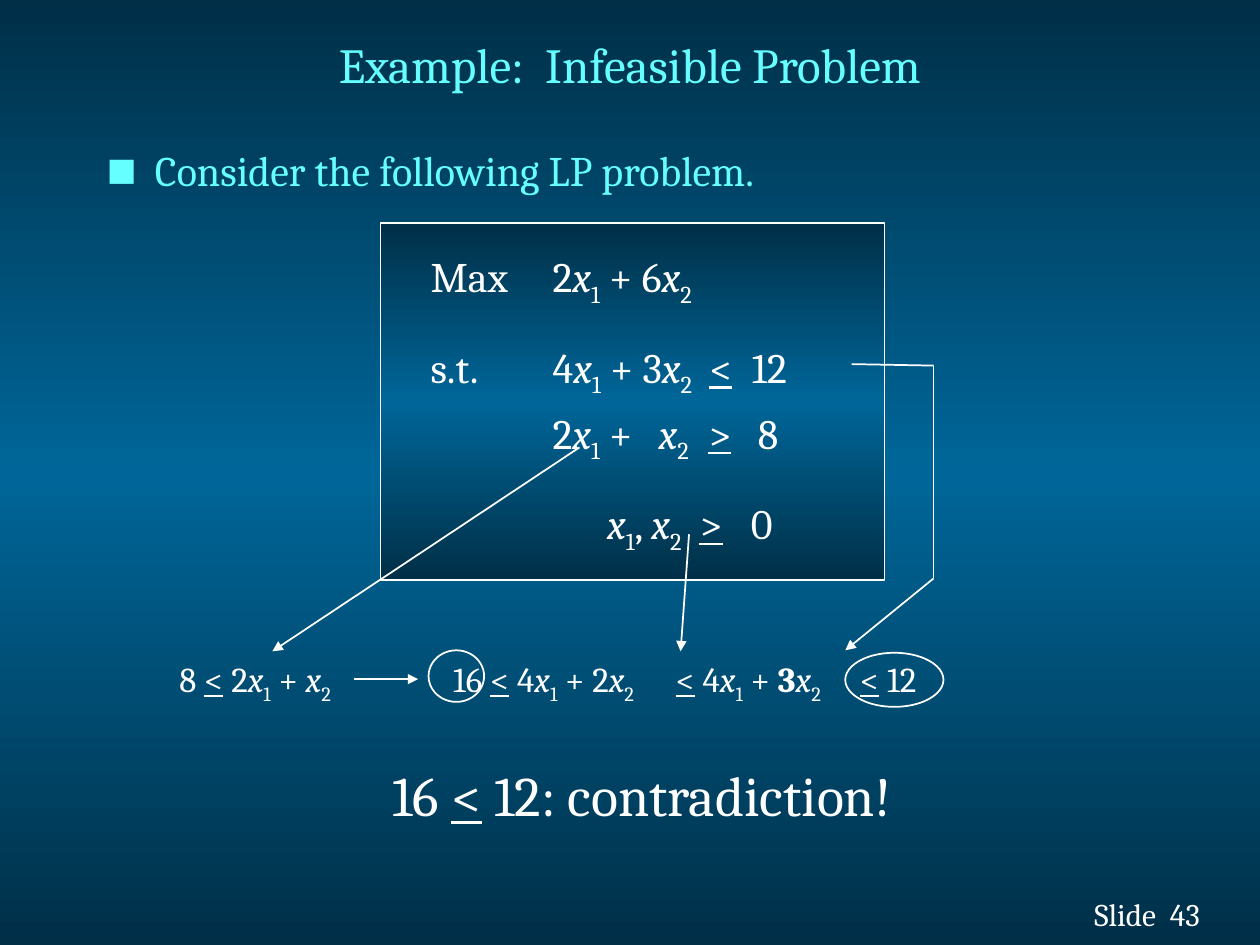
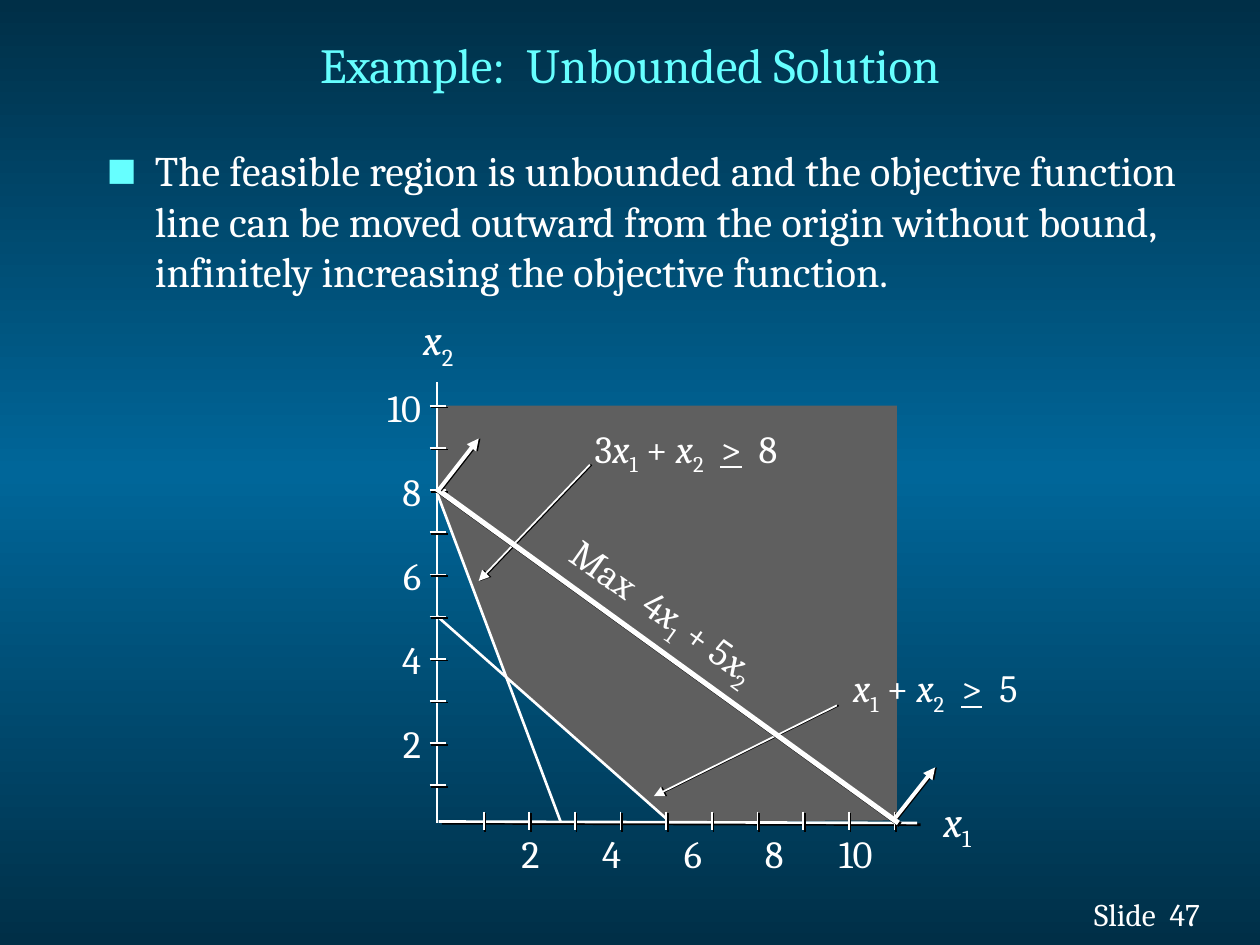
from dataclasses import dataclass
from itertools import groupby, pairwise
from typing import NamedTuple, Optional

from lxml.etree import SubElement
from pptx import Presentation
from pptx.dml.color import RGBColor
from pptx.enum.shapes import MSO_CONNECTOR, MSO_SHAPE
from pptx.enum.text import MSO_ANCHOR, MSO_AUTO_SIZE, PP_ALIGN
from pptx.oxml import parse_xml
from pptx.oxml.ns import nsdecls, qn
from pptx.util import Cm, Pt

WHITE = RGBColor(0xFF, 0xFF, 0xFF)
BLACK = RGBColor(0x00, 0x00, 0x00)
CYAN = RGBColor(0x66, 0xFF, 0xFF)
GREY = RGBColor(0x5F, 0x5F, 0x5F)
DEEP = RGBColor(0x00, 0x2F, 0x47)
BLUE = RGBColor(0x00, 0x66, 0x99)
FONT = "Cambria"
MARKS = {"*": "italic", "_": "sub", "~": "underline", "^": "bold"}
X1, X2 = "*x*_1_", "*x*_2_"


class Box(NamedTuple):
    left: float
    top: float
    width: float
    height: float

    def cm(self):
        return [Cm(v) for v in self]


class Shadow(NamedTuple):
    distance: float
    angle: float


@dataclass(frozen=True)
class Line:
    x1: float
    y1: float
    x2: float
    y2: float
    weight: float = 1
    arrow: bool = False
    shadow: Optional[Shadow] = None


@dataclass(frozen=True)
class Label:
    text: str
    box: Box
    size: float = 22
    align: PP_ALIGN = PP_ALIGN.LEFT
    inset: tuple = (0.25, 0.13)
    wrap: bool = False
    angle: float = 0
    shadow: Optional[Shadow] = None
    tabs: tuple = ()


FLAT = Shadow(1, 0)
DIAGONAL = Shadow(1.4, 45)
WIDE = (0.33, 0.18)


def effects(shadow: Optional[Shadow]):
    lst = parse_xml(f"<a:effectLst {nsdecls('a')}/>")
    if shadow:
        outer = SubElement(lst, qn("a:outerShdw"), dist=str(Pt(shadow.distance)),
                           dir=str(int(shadow.angle * 60000)), algn="ctr", rotWithShape="0")
        SubElement(outer, qn("a:srgbClr"), val=str(BLACK))
    return lst


def write_text(p, text: str, *, size: float, color: RGBColor = WHITE,
               align: PP_ALIGN = PP_ALIGN.LEFT, before: float = 0,
               tabs: tuple = (), tab_align: str = "l",
               shadow: Optional[Shadow] = None) -> None:
    p.alignment = align
    p.space_before = Pt(before)
    if tabs:
        tab_list = SubElement(p._p.get_or_add_pPr(), qn("a:tabLst"))
        for stop in tabs:
            SubElement(tab_list, qn("a:tab"), pos=str(Cm(stop)), algn=tab_align)
    active, letters = set(), []
    for ch in text:
        if ch in MARKS:
            active ^= {MARKS[ch]}
        else:
            letters.append((ch, frozenset(active)))
    for style, group in groupby(letters, key=lambda item: item[1]):
        r = p.add_run()
        r.text = "".join(ch for ch, _ in group)
        f = r.font
        f.size, f.name = Pt(size), FONT
        f.color.rgb = color
        for name in style - {"sub"}:
            setattr(f, name, True)
        r_pr = r._r.get_or_add_rPr()
        if "sub" in style:
            r_pr.set("baseline", "-25000")
        if shadow:
            r_pr.find(qn("a:solidFill")).addnext(effects(shadow))


def add_label(slide, label: Label):
    sp = slide.shapes.add_textbox(*label.box.cm())
    sp.rotation = label.angle
    tf = sp.text_frame
    tf.word_wrap = label.wrap
    tf.auto_size = MSO_AUTO_SIZE.SHAPE_TO_FIT_TEXT
    tf.margin_left = tf.margin_right = Cm(label.inset[0])
    tf.margin_top = tf.margin_bottom = Cm(label.inset[1])
    write_text(tf.paragraphs[0], label.text, size=label.size, align=label.align,
               shadow=label.shadow, tabs=label.tabs, tab_align="ctr")
    return sp


def add_line(slide, line: Line):
    cx = slide.shapes.add_connector(MSO_CONNECTOR.STRAIGHT, Cm(line.x1), Cm(line.y1),
                                    Cm(line.x2), Cm(line.y2))
    cx.line.color.rgb = WHITE
    cx.line.width = Pt(line.weight)
    if line.arrow:
        SubElement(cx.line._get_or_add_ln(), qn("a:tailEnd"), type="triangle")
    cx._element.spPr.append(effects(line.shadow))
    return cx


def paint_gradient(fill, element) -> None:
    fill.gradient()
    fill.gradient_angle = 90
    stops = next(element.iter(qn("a:gsLst")))
    for stop in list(stops):
        stops.remove(stop)
    for pos, color in ((0, DEEP), (50, BLUE), (100, DEEP)):
        gs = SubElement(stops, qn("a:gs"), pos=str(pos * 1000))
        SubElement(gs, qn("a:srgbClr"), val=str(color))


def add_outline(slide, kind: MSO_SHAPE, box: Box):
    sp = slide.shapes.add_shape(kind, *box.cm())
    sp.shadow.inherit = False
    sp.fill.background()
    sp.line.color.rgb = WHITE
    sp.line.width = Pt(1)
    return sp


def fill_placeholder(sp, box: Box, anchor: MSO_ANCHOR, text: str, **style):
    sp.left, sp.top, sp.width, sp.height = box.cm()
    tf = sp.text_frame
    tf.auto_size = MSO_AUTO_SIZE.NONE
    tf.vertical_anchor = anchor
    write_text(tf.paragraphs[0], text, **style)
    return tf.paragraphs[0]


def add_slide(prs, title: str, bullet: str, body: Box, color: RGBColor, number: int):
    slide = prs.slides.add_slide(prs.slide_layouts[1])
    fill_placeholder(slide.shapes.title, Box(1.9, 0.15, 21.59, 2.26), MSO_ANCHOR.MIDDLE,
                     title, size=28, color=CYAN, align=PP_ALIGN.CENTER)
    p = fill_placeholder(slide.placeholders[1], body, MSO_ANCHOR.TOP,
                         bullet, size=24, color=color, before=4.8)
    p_pr = p._p.get_or_add_pPr()
    p_pr.set("marL", str(Cm(0.97)))
    p_pr.set("indent", str(Cm(-0.97)))
    bullet_color = SubElement(p_pr, qn("a:buClr"))
    SubElement(bullet_color, qn("a:srgbClr"), val=str(CYAN))
    SubElement(p_pr, qn("a:buSzPct"), val="75000")
    SubElement(p_pr, qn("a:buFont"), typeface=FONT)
    SubElement(p_pr, qn("a:buChar"), char="■")
    add_label(slide, Label(f"Slide  {number}", Box(21.34, 17.91, 3.1, 1.02), 18,
                           PP_ALIGN.RIGHT, wrap=True, shadow=DIAGONAL))
    return slide


def build_infeasible(prs) -> None:
    slide = add_slide(prs, "Example:  Infeasible Problem",
                      "Consider the following LP problem.",
                      Box(1.9, 2.79, 17.45, 1.45), CYAN, 43)
    panel = add_outline(slide, MSO_SHAPE.RECTANGLE, Box(7.67, 4.5, 10.16, 7.19))
    paint_gradient(panel.fill, panel._element)

    model = (
        (f"Max\t2{X1} + 6{X2}", 4.8, (2.46,)),
        (f"s.t.\t4{X1} + 3{X2}\t~<~\t12", 19, (2.46, 5.62, 6.48)),
        (f"\t2{X1} +\t{X2}\t~>~\t8", 4.8, (2.46, 4.6, 5.6, 6.6)),
        (f"\t{X1}, {X2}\t~>~\t0", 19, (3.56, 5.42, 6.46)),
    )
    tf = slide.shapes.add_textbox(*Box(8.43, 4.93, 9.02, 6.32).cm()).text_frame
    tf.word_wrap = True
    for i, (text, before, tabs) in enumerate(model):
        p = tf.add_paragraph() if i else tf.paragraphs[0]
        write_text(p, text, size=24, before=before, tabs=tabs)

    chain = (
        (f"8 ~<~ 2{X1} + {X2}", 3.15, 3.99),
        (f"16 ~<~ 4{X1} + 2{X2}", 8.61, 4.7),
        (f"~<~ 4{X1} + ^3^{X2}", 13.18, 3.81),
        ("~<~ 12", 16.99, 1.83),
    )
    terms = [add_label(slide, Label(text, Box(left, 13.13, width, 1.12), 20, PP_ALIGN.CENTER))
             for text, left, width in chain]
    add_label(slide, Label("16 ~<~ 12: contradiction!", Box(7.11, 15.21, 11.66, 1.63),
                           32, PP_ALIGN.CENTER))

    implies = add_line(slide, Line(7.14, 13.69, 8.43, 13.69, arrow=True))
    implies.begin_connect(terms[0], 3)
    add_line(slide, Line(11.68, 9.02, 5.49, 13.13, arrow=True))
    add_line(slide, Line(13.89, 10.77, 13.72, 13.13, arrow=True))
    bracket = ((17.17, 7.34), (18.82, 7.37), (18.82, 11.66), (17.04, 13.11))
    for start, end in pairwise(bracket):
        add_line(slide, Line(*start, *end, arrow=end == bracket[-1]))
    for box in (Box(8.64, 13.11, 1.12, 1.04), Box(17.04, 13.16, 1.98, 1.09)):
        add_outline(slide, MSO_SHAPE.OVAL, box)


def build_unbounded(prs) -> None:
    slide = add_slide(prs, "Example:  Unbounded Solution",
                      "The feasible region is unbounded and the objective function line can be "
                      "moved outward from the origin without bound, infinitely increasing the "
                      "objective function.",
                      Box(1.9, 2.79, 22.28, 6.22), WHITE, 47)
    region = ((8.81, 8.18), (18.08, 8.18), (18.08, 16.54),
              (13.46, 16.56), (10.21, 13.64), (8.81, 9.98))
    start, *others = [(Cm(x), Cm(y)) for x, y in region]
    outline = slide.shapes.build_freeform(*start, scale=1.0)
    outline.add_line_segments(others, close=True)
    sp = outline.convert_to_shape()
    sp.shadow.inherit = False
    sp.fill.solid()
    sp.fill.fore_color.rgb = GREY
    sp.line.fill.background()

    labels = [
        Label(X2, Box(8.2, 6.15, 1.4, 1.35), 24, inset=WIDE),
        Label(X1, Box(18.69, 15.85, 1.4, 1.35), 24, inset=WIDE),
        Label(f"3{X1} + {X2}  ~>~  8", Box(11.66, 8.38, 4.88, 1.27), inset=WIDE),
        Label(f"{X1} + {X2}  ~>~  5", Box(16.87, 13.21, 4.47, 1.27), inset=WIDE),
        Label(f"Max  4{X1} + 5{X2}", Box(10.85, 11.81, 5.54, 1.27), inset=WIDE, angle=35.3),
        Label("2\t4\t6\t8\t10", Box(10.26, 16.61, 8.43, 1.17), wrap=True,
              tabs=tuple(round(0.18 + 1.64 * k, 2) for k in range(1, 5))),
    ]
    labels += [Label(str(value), Box(7.47, 7.62 + 1.69 * k, 1.27, 1.17), align=PP_ALIGN.RIGHT)
               for k, value in enumerate(range(10, 0, -2))]
    for label in labels:
        add_label(slide, label)

    lines = [
        Line(11.89, 9.37, 9.65, 11.71, arrow=True, shadow=FLAT),
        Line(16.87, 14.22, 13.18, 16.05, arrow=True, shadow=FLAT),
        Line(8.81, 7.7, 8.81, 16.59, 1.5),
        Line(8.84, 16.56, 18.49, 16.59, 1.5, shadow=Shadow(2.2, 27)),
        Line(8.81, 12.42, 13.44, 16.51, 1.5),
        Line(8.79, 9.88, 11.3, 16.56, 1.5),
    ]
    for k in range(10):
        y, x = 8.18 + 0.85 * k, 9.75 + 0.92 * k
        lines += [Line(8.66, y, 8.99, y, shadow=DIAGONAL),
                  Line(x, 16.36, x, 16.74, shadow=DIAGONAL)]
    lines += [
        Line(18.03, 16.51, 18.85, 15.47, 2.25, True, FLAT),
        Line(8.81, 9.86, 18.11, 16.59, 3, shadow=DIAGONAL),
        Line(8.84, 9.88, 9.65, 8.84, 2.25, True, FLAT),
    ]
    for line in lines:
        add_line(slide, line)


def main() -> None:
    prs = Presentation()
    prs.slide_width, prs.slide_height = Cm(25.4), Cm(19.05)
    master = prs.slide_master
    paint_gradient(master.background.fill, master._element)
    build_infeasible(prs)
    build_unbounded(prs)
    prs.save("out.pptx")


if __name__ == "__main__":
    main()
